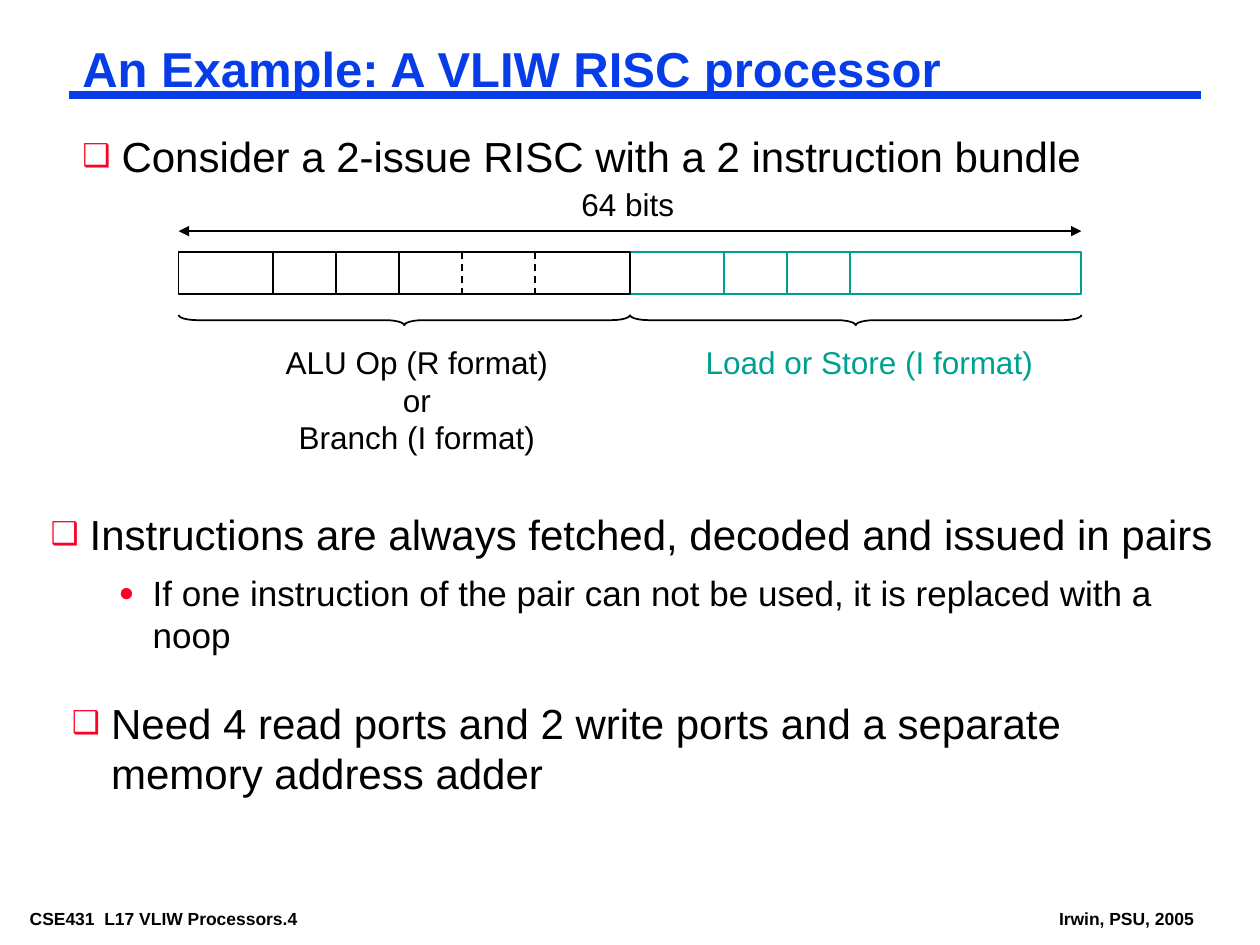
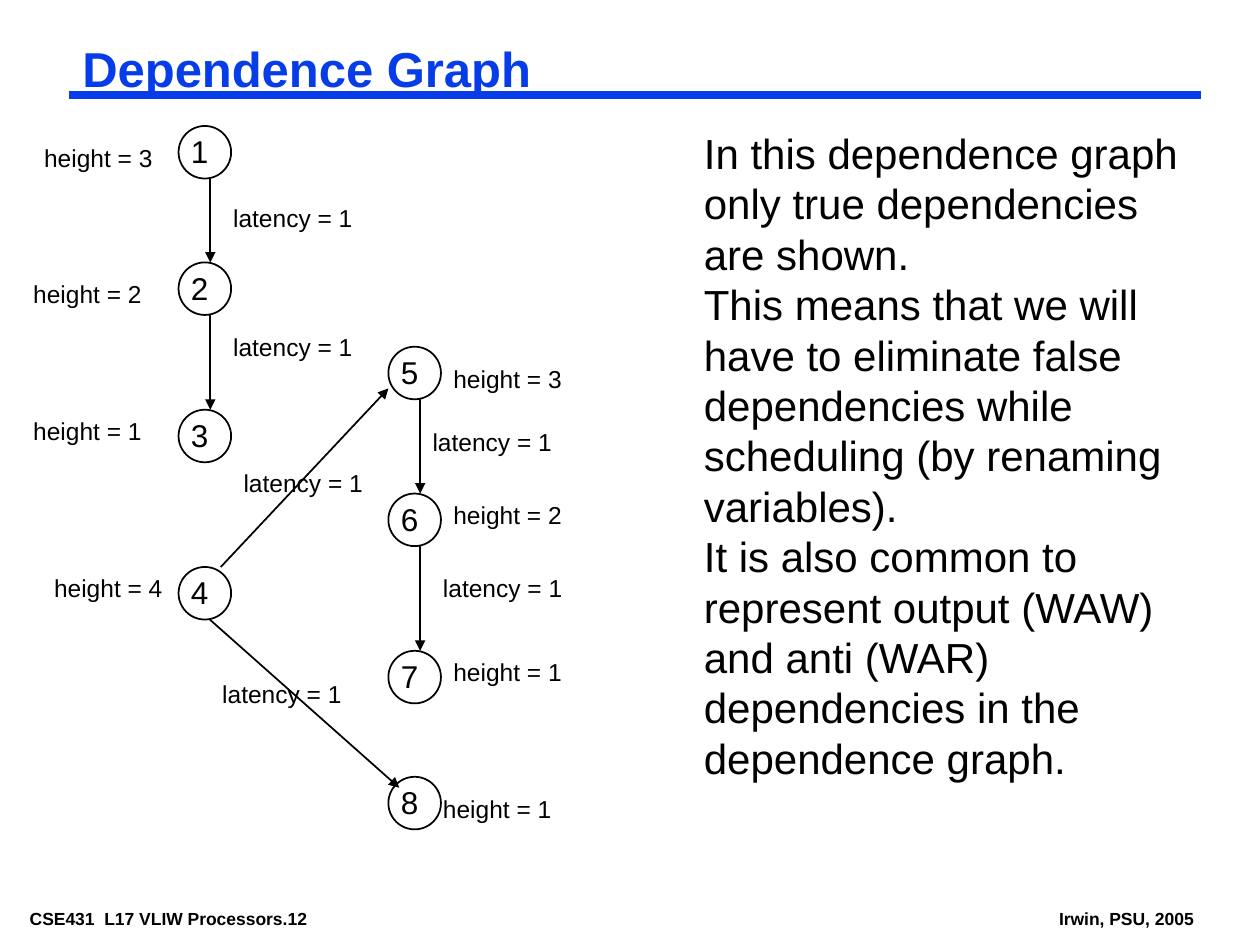
"""Build two lecture slides on a VLIW processor and a dependence graph."""
import itertools

import lxml.etree
import pptx
import pptx.dml.color
import pptx.enum.dml
import pptx.enum.shapes
import pptx.enum.text
import pptx.oxml.ns
import pptx.util

Cm = pptx.util.Cm
Pt = pptx.util.Pt
SHAPE = pptx.enum.shapes.MSO_SHAPE
ALIGN = pptx.enum.text.PP_ALIGN

FONT = "Arial"
BLACK, BLUE, TEAL, RED = "000000", "063DE8", "00A091", "FC0128"
TIGHT, ROOMY = (0.18, 0.09), (0.25, 0.13)

TITLE_BOX = (1.48, 0.85, 22.65, 1.17)
RULE = ((1.4, 1.91), (24.21, 1.91))
FOOTERS = [
    ("CSE431  L17 VLIW Processors.{}", (0.42, 18.21, 7.25, 0.56)),
    ("Irwin, PSU, 2005", (21.17, 18.21, 3.2, 0.56)),
]

BULLETS = [
    {"char": "❑", "size": 24, "left": 0.79, "hanging": 0.79, "before": 9},
    {"char": "●", "size": 20, "left": 2.06, "hanging": 0.69, "before": 7.5},
]
BODY_LIST = [(0, "Consider a 2-issue RISC with a 2 instruction bundle")]
BODY_BOX = (1.48, 2.54, 22.65, 1.17)
LOWER_LISTS = [
    ((0.84, 10.16, 23.93, 3.12), [
        (0, "Instructions are always fetched, decoded and issued in pairs"),
        (1, "If one instruction of the pair can not be used, it is replaced with a noop"),
    ]),
    ((1.27, 13.97, 22.65, 2.18), [
        (0, "Need 4 read ports and 2 write ports and a separate memory address adder"),
    ]),
]

BUNDLE_LEFT, BUNDLE_TOP, HALF_WIDTH, BUNDLE_HEIGHT = 3.6, 5.08, 9.1, 0.85
BRACE_TOP, BRACE_DEPTH = 6.35, 0.21
WIDTH_ARROW_TOP = 4.66
HALVES = [
    {"slot": 1, "color": TEAL, "fields": [1.9, 1.27, 1.27, 4.66], "dashed": (),
     "label": ["Load or Store (I format)"], "box": (13.97, 6.78, 7.11, 1.02)},
    {"slot": 0, "color": BLACK, "fields": [1.9, 1.27, 1.27, 1.27, 1.48, 1.91], "dashed": (3, 4),
     "label": ["ALU Op (R format)", "or", "Branch (I format)"], "box": (5.51, 6.78, 5.79, 2.54)},
]

NODE_SIZE, EDGE_OFFSET = 1.06, 0.64
LEFT_COLUMN, RIGHT_COLUMN = 3.6, 7.83
NODES = {
    1: (LEFT_COLUMN, 2.54), 2: (LEFT_COLUMN, 5.29), 3: (LEFT_COLUMN, 8.26),
    4: (LEFT_COLUMN, 11.43), 5: (RIGHT_COLUMN, 6.99), 6: (RIGHT_COLUMN, 9.95),
    7: (RIGHT_COLUMN, 13.12), 8: (RIGHT_COLUMN, 15.66),
}
VERTICAL_EDGES = [(1, 2), (2, 3), (5, 6), (6, 7)]
SLANTED_EDGES = [((4.45, 11.43), (7.83, 7.83)), ((4.23, 12.49), (8.05, 15.88))]
LATENCY_PLACES = [(4.45, 3.96), (4.45, 6.56), (4.66, 9.31),
                  (8.47, 8.47), (8.68, 11.43), (4.23, 13.55)]
HEIGHTS = [
    (3, (0.64, 2.75)), (2, (0.42, 5.5)), (1, (0.42, 8.26)), (4, (0.84, 11.43)),
    (3, (8.89, 7.2)), (2, (8.89, 9.95)), (1, (8.89, 13.12)), (1, (8.68, 15.88)),
]
EXPLANATION = [
    "In this dependence graph", "only true dependencies", "are shown.",
    "This means that we will", "have to eliminate false", "dependencies while",
    "scheduling (by renaming", "variables).", "It is also common to",
    "represent output (WAW)", "and anti (WAR)", "dependencies in the", "dependence graph.",
]
EXPLANATION_BOX = (13.94, 2.44, 10.06, 13.46)


def rgb(color):
    """Turn a hex string into a colour."""
    return pptx.dml.color.RGBColor.from_string(color)


def lengths(values):
    """Turn numbers in centimetres into lengths."""
    return [Cm(value) for value in values]


def add_xml(parent, tag, **attributes):
    """Append a drawing element and return it."""
    return lxml.etree.SubElement(parent, pptx.oxml.ns.qn("a:" + tag), attributes)


def write_text(paragraph, text, size=18, color=BLACK, bold=False, align=ALIGN.LEFT, spacing=None):
    """Put formatted text into a paragraph."""
    run = paragraph.add_run()
    run.text = text
    run.font.name, run.font.size, run.font.bold = FONT, Pt(size), bold
    run.font.color.rgb = rgb(color)
    paragraph.alignment = align
    if spacing:
        paragraph.line_spacing = spacing


def set_frame(shape, box, insets, wrap):
    """Place a text shape and return its frame."""
    shape.left, shape.top, shape.width, shape.height = lengths(box)
    frame = shape.text_frame
    frame.auto_size = pptx.enum.text.MSO_AUTO_SIZE.NONE
    frame.word_wrap = wrap
    frame.vertical_anchor = pptx.enum.text.MSO_ANCHOR.TOP
    frame.margin_left = frame.margin_right = Cm(insets[0])
    frame.margin_top = frame.margin_bottom = Cm(insets[1])
    return frame


def paragraphs_for(frame, items):
    """Pair each item with a paragraph of the frame."""
    for index, item in enumerate(items):
        yield (frame.add_paragraph() if index else frame.paragraphs[0]), item


def add_text(slide, lines, box, insets=ROOMY, wrap=False, **text_format):
    """Add a text box with one paragraph for each line."""
    frame = set_frame(slide.shapes.add_textbox(*lengths(box)), box, insets, wrap)
    for paragraph, line in paragraphs_for(frame, lines):
        write_text(paragraph, line, **text_format)


def fill_list(shape, box, items):
    """Fill a text shape with bulleted items."""
    for paragraph, (level, text) in paragraphs_for(set_frame(shape, box, TIGHT, True), items):
        bullet = BULLETS[level]
        write_text(paragraph, text, size=bullet["size"])
        paragraph.level = level
        paragraph.space_before = Pt(bullet["before"])
        properties = paragraph._p.get_or_add_pPr()
        properties.set("marL", str(Cm(bullet["left"])))
        properties.set("indent", str(-Cm(bullet["hanging"])))
        add_xml(add_xml(properties, "buClr"), "srgbClr", val=RED)
        add_xml(properties, "buSzPct", val="75000")
        add_xml(properties, "buFont", typeface=FONT)
        add_xml(properties, "buChar", char=bullet["char"])


def add_line(slide, start, end, color=BLACK, width=1, dashed=False, arrows=()):
    """Draw a straight line, with arrowheads at the named ends."""
    connector = slide.shapes.add_connector(
        pptx.enum.shapes.MSO_CONNECTOR.STRAIGHT, *lengths(start + end))
    connector.line.color.rgb = rgb(color)
    connector.line.width = Pt(width)
    if dashed:
        connector.line.dash_style = pptx.enum.dml.MSO_LINE.DASH
    for arrow in arrows:
        add_xml(connector.line._get_or_add_ln(), arrow, type="triangle")
    add_xml(connector._element.spPr, "effectLst")


def add_outline(slide, kind, box, color=BLACK):
    """Draw an unfilled preset shape."""
    shape = slide.shapes.add_shape(kind, *lengths(box))
    shape.shadow.inherit = False
    shape.fill.background()
    shape.line.color.rgb = rgb(color)
    shape.line.width = Pt(1)
    return shape


def add_slide(presentation, layout, title, number):
    """Add a slide with the shared title, rule and footers."""
    slide = presentation.slides.add_slide(presentation.slide_layouts.get_by_name(layout))
    frame = set_frame(slide.shapes.title, TITLE_BOX, TIGHT, True)
    write_text(frame.paragraphs[0], title, size=28, color=BLUE, bold=True, spacing=0.87)
    add_line(slide, *RULE, color=BLUE, width=4.5)
    for text, box in FOOTERS:
        add_text(slide, [text.format(number)], box, insets=TIGHT, wrap=True, size=10, bold=True)
    return slide


def add_half(slide, half):
    """Draw one instruction of the bundle with its fields, brace and label."""
    left = BUNDLE_LEFT + half["slot"] * HALF_WIDTH
    bottom = BUNDLE_TOP + BUNDLE_HEIGHT
    add_outline(slide, SHAPE.RECTANGLE, (left, BUNDLE_TOP, HALF_WIDTH, BUNDLE_HEIGHT), half["color"])
    for index, offset in enumerate(itertools.accumulate(half["fields"][:-1])):
        add_line(slide, (left + offset, BUNDLE_TOP), (left + offset, bottom),
                 color=half["color"], dashed=index in half["dashed"])
    brace = add_outline(slide, SHAPE.RIGHT_BRACE, (
        left + (HALF_WIDTH - BRACE_DEPTH) / 2, BRACE_TOP + (BRACE_DEPTH - HALF_WIDTH) / 2,
        BRACE_DEPTH, HALF_WIDTH))
    brace.rotation = 90
    brace.adjustments[0] = 1.8
    add_text(slide, half["label"], half["box"], color=half["color"], align=ALIGN.CENTER)


def build_processor(presentation):
    """Build the slide on the two-instruction bundle."""
    slide = add_slide(presentation, "Title and Content", "An Example: A VLIW RISC processor", 4)
    fill_list(slide.placeholders[1], BODY_BOX, BODY_LIST)
    for half in HALVES:
        add_half(slide, half)
    add_line(slide, (BUNDLE_LEFT, WIDTH_ARROW_TOP),
             (BUNDLE_LEFT + 2 * HALF_WIDTH, WIDTH_ARROW_TOP), arrows=("headEnd", "tailEnd"))
    add_text(slide, ["64 bits"], (11.46, 3.6, 2.39, 1.02), align=ALIGN.CENTER)
    for box, items in LOWER_LISTS:
        fill_list(slide.shapes.add_textbox(*lengths(box)), box, items)


def build_graph(presentation):
    """Build the slide with the dependence graph."""
    slide = add_slide(presentation, "Title Only", "Dependence Graph", 12)
    for number, place in NODES.items():
        add_outline(slide, SHAPE.OVAL, place + (NODE_SIZE, NODE_SIZE))
        add_text(slide, [str(number)], place + (0.86, 1.02))
    vertical = []
    for upper, lower in VERTICAL_EDGES:
        (left, top), (_, end) = NODES[upper], NODES[lower]
        vertical.append(((left + EDGE_OFFSET, top + NODE_SIZE), (left + EDGE_OFFSET, end)))
    for start, end in vertical + SLANTED_EDGES:
        add_line(slide, start, end, arrows=("tailEnd",))
    add_text(slide, EXPLANATION, EXPLANATION_BOX, size=24)
    for place in LATENCY_PLACES:
        add_text(slide, ["latency = 1"], place + (2.92, 0.85), size=14)
    for height, place in HEIGHTS:
        add_text(slide, [f"height = {height}"], place + (2.69, 0.85), size=14)


def main():
    """Build and save the presentation."""
    presentation = pptx.Presentation()
    presentation.slide_width, presentation.slide_height = lengths((25.4, 19.05))
    build_processor(presentation)
    build_graph(presentation)
    presentation.save("out.pptx")


if __name__ == "__main__":
    main()
